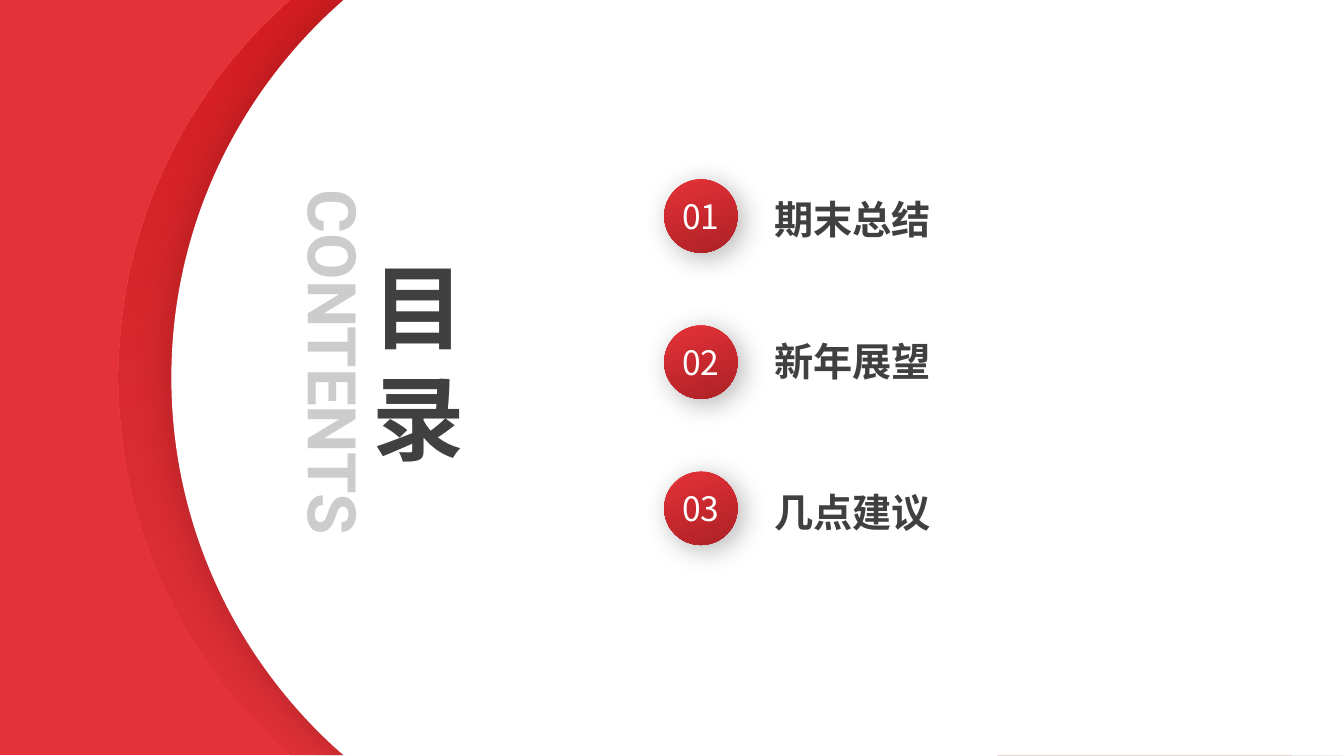
from lxml import etree
from pptx import Presentation
from pptx.dml.color import RGBColor
from pptx.enum import shapes, text
from pptx.oxml import ns
from pptx.util import Pt

COLOURS = {"red": "E53238", "dark_red": "AC2125", "deep_red": "C00000",
           "white": "FFFFFF", "ink": "404040", "grey": "595959", "black": "000000"}
RGB = {name: RGBColor.from_string(value) for name, value in COLOURS.items()}
CJK = "Noto Sans CJK SC"


def add_shadow(shape, alpha, blur, distance, angle):
    shape.shadow.inherit = False
    effects = shape._element.spPr.find(ns.qn("a:effectLst"))
    outer = etree.SubElement(effects, ns.qn("a:outerShdw"), blurRad=str(Pt(blur)),
                             dist=str(Pt(distance)), dir=str(angle * 60000),
                             algn="ctr", rotWithShape="0")
    tint = etree.SubElement(outer, ns.qn("a:srgbClr"), val=COLOURS["black"])
    etree.SubElement(tint, ns.qn("a:alpha"), val=str(alpha * 1000))


def write(shape, words, size, colour, font="Roboto", bold=True, wrap=False, centred=True):
    frame = shape.text_frame
    frame.word_wrap = wrap
    frame.text = words
    paragraph = frame.paragraphs[0]
    paragraph.alignment = text.PP_ALIGN.CENTER if centred else text.PP_ALIGN.LEFT
    run = paragraph.runs[0]
    run.font.size, run.font.bold, run.font.name = Pt(size), bold, font
    run.font.color.rgb = RGB[colour]
    latin = run.font._element.find(ns.qn("a:latin"))
    latin.addnext(etree.Element(ns.qn("a:ea"), typeface=CJK))
    return run


deck = Presentation()
deck.slide_width, deck.slide_height = Pt(960), Pt(540)
slide = deck.slides.add_slide(deck.slide_layouts[6])

# Red side band
band = slide.shapes.add_shape(shapes.MSO_SHAPE.RECTANGLE, Pt(-2), Pt(-0.7), Pt(273.6), Pt(540))
band.shadow.inherit = False
band.fill.solid()
band.fill.fore_color.rgb = RGB["red"]
band.line.fill.background()

# Round-edged panels: straight sides, then two mirrored Bezier curves from bottom to top
straight = [(414.7, -0.7), (589.7, -0.7), (838, -0.7), (838, 539.3), (590.4, 539.3),
            (589.7, 540), (123.8, 540), (117.4, 534.5)]
upper_curve = [(0, 164.9), (45.4, 70.6), (117.4, 5)]
lower_curve = [(45.4, 468.9), (0, 374.6), (0, 269.75)]

panels = []
for left in (84.4, 122.4):
    builder = slide.shapes.build_freeform(Pt(left + 123.8), Pt(-0.7), scale=1.0)
    builder.add_line_segments([(Pt(left + x), Pt(y))
                               for x, y in straight + lower_curve + upper_curve])
    panel = builder.convert_to_shape()
    panel.line.fill.background()
    # Each closing group of three points becomes one curve
    segments = list(panel._element.iter(ns.qn("a:lnTo")))[len(straight):]
    for group in (segments[:3], segments[3:]):
        bezier = etree.Element(ns.qn("a:cubicBezTo"))
        group[0].addprevious(bezier)
        for segment in group:
            bezier.append(segment[0])
            segment.getparent().remove(segment)
    panels.append(panel)
rim, page = panels

rim.shadow.inherit = False
rim.fill.gradient()
rim.fill.gradient_angle = 270
for stop, colour, alpha in zip(rim.fill.gradient_stops, ("deep_red", "dark_red"), (41, 10)):
    stop.color.rgb = RGB[colour]
    stop_colour = stop._gs.find(ns.qn("a:srgbClr"))
    etree.SubElement(stop_colour, ns.qn("a:alpha"), val=str(alpha * 1000))

page.fill.solid()
page.fill.fore_color.rgb = RGB["white"]
add_shadow(page, 20, 29, 0, 0)

# Headings
contents = slide.shapes.add_textbox(Pt(74.5), Pt(226), Pt(328.3), Pt(65.5))
contents.rotation = 90
contents_run = write(contents, "CONTENTS", 48, "grey")
contents_colour = contents_run.font._element.find(".//" + ns.qn("a:srgbClr"))
etree.SubElement(contents_colour, ns.qn("a:alpha"), val="29000")

heading = slide.shapes.add_textbox(Pt(258.8), Pt(175), Pt(71.3), Pt(167))
write(heading, "目录", 66, "ink", wrap=True)

# Numbered entries
entries = [("期末总结", 135.7), ("新年展望", 237.6), ("几点建议", 345.6)]
for index, (title, title_top) in enumerate(entries):
    entry = slide.shapes.add_textbox(Pt(546), Pt(title_top), Pt(127.4), Pt(41))
    write(entry, title, 28, "ink", centred=False)

    badge = slide.shapes.add_shape(shapes.MSO_SHAPE.OVAL, Pt(474.4), Pt(128.1 + 104.4 * index),
                                   Pt(52.4), Pt(52.4))
    badge.line.fill.background()
    badge.fill.gradient()
    badge.fill.gradient_angle = 290
    for stop, colour in zip(badge.fill.gradient_stops, ("red", "dark_red")):
        stop.color.rgb = RGB[colour]
    add_shadow(badge, 30, 20, 5, 45)
    badge.text_frame.vertical_anchor = text.MSO_ANCHOR.MIDDLE
    write(badge, f"{index + 1:02d}", 24, "white", font=CJK, bold=False)

deck.save("out.pptx")
